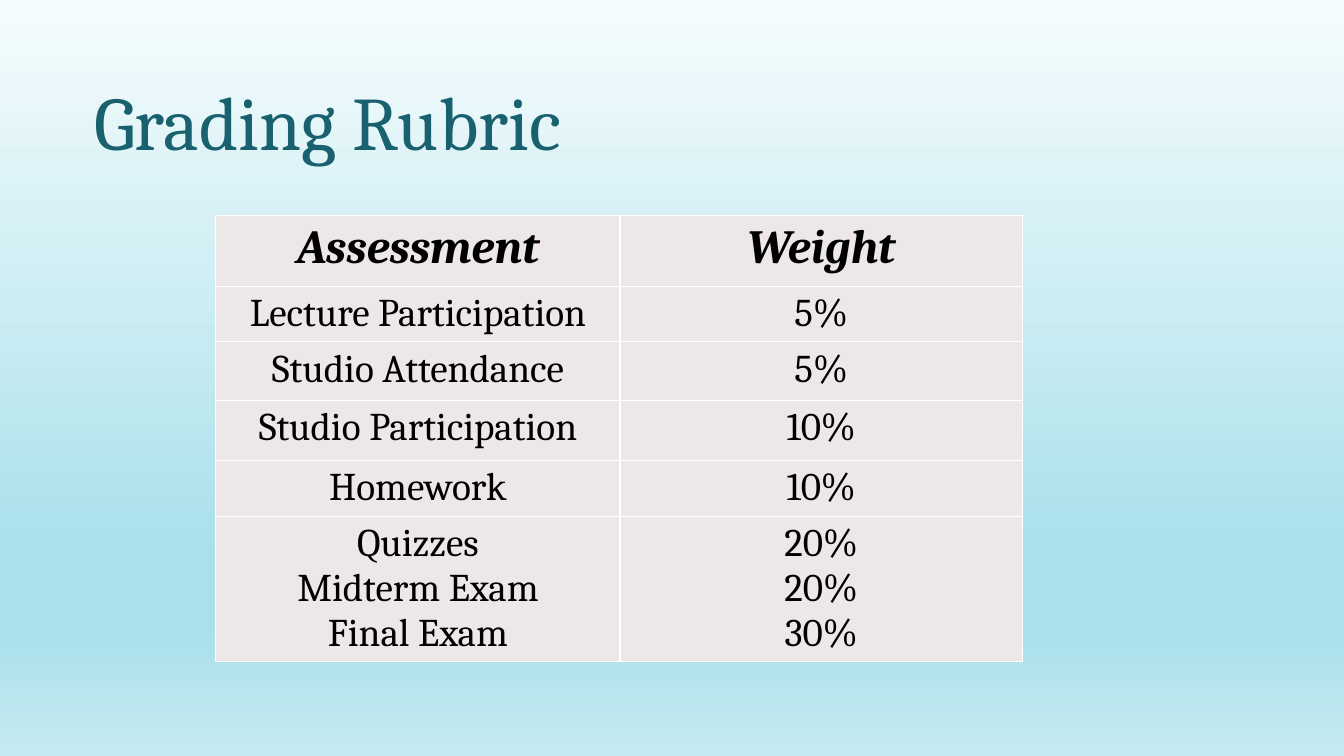
from lxml import etree
from pptx import Presentation
from pptx.dml.color import RGBColor
from pptx.enum.text import MSO_ANCHOR, MSO_AUTO_SIZE, PP_ALIGN
from pptx.oxml.ns import qn
from pptx.util import Inches, Pt

TITLE = "Grading Rubric"
RUBRIC = [
    ("Assessment", "Weight"),
    ("Lecture Participation", "5%"),
    ("Studio Attendance", "5%"),
    ("Studio Participation", "10%"),
    ("Homework", "10%"),
    ("Quizzes\nMidterm Exam\nFinal Exam", "20%\n20%\n30%"),
]
COLUMN_WIDTHS = [4.01, 3.99]
ROW_HEIGHTS = [0.7, 0.55, 0.58, 0.6, 0.55, 1.43]

FONT = "Cambria"
TEAL = RGBColor(0x1A, 0x61, 0x6F)
BLACK = RGBColor(0, 0, 0)
WHITE = RGBColor(0xFF, 0xFF, 0xFF)
CELL_FILL = RGBColor(0xED, 0xE8, 0xE7)
BACKGROUND_STOPS = [
    (0, RGBColor(0xF5, 0xFC, 0xFD)),
    (74, RGBColor(0xA9, 0xE0, 0xEB)),
    (83, RGBColor(0xA9, 0xE0, 0xEB)),
    (100, RGBColor(0xC6, 0xEA, 0xF1)),
]
CENTER = PP_ALIGN.CENTER
MIDDLE = MSO_ANCHOR.MIDDLE
NO_AUTOFIT = MSO_AUTO_SIZE.NONE


def set_background(slide):
    fill = slide.background.fill
    fill.gradient()
    fill.gradient_angle = 270
    stops = next(slide.element.iter(qn("a:gsLst")))
    for stop in list(stops):
        stops.remove(stop)
    for percent, color in BACKGROUND_STOPS:
        stop = etree.SubElement(stops, qn("a:gs"), pos=str(percent * 1000))
        etree.SubElement(stop, qn("a:srgbClr"), val=str(color))


def format_text(text_frame, size, color, emphasis=False):
    for paragraph in text_frame.paragraphs:
        paragraph.alignment = CENTER
        font = paragraph.font
        font.name = FONT
        font.size = Pt(size)
        font.color.rgb = color
        font.bold = font.italic = emphasis


def add_title(slide):
    title = slide.shapes.title
    title.left, title.top = Inches(-0.99), Inches(0.62)
    title.width, title.height = Inches(8.48), Inches(1.15)
    text_frame = title.text_frame
    text_frame.text = TITLE
    text_frame.auto_size = NO_AUTOFIT
    text_frame.vertical_anchor = MIDDLE
    format_text(text_frame, 54, TEAL)


def set_borders(cell):
    properties = cell._tc.get_or_add_tcPr()
    for index, side in enumerate(("lnL", "lnR", "lnT", "lnB")):
        line = etree.Element(qn(f"a:{side}"), w=str(Pt(0.96)))
        fill = etree.SubElement(line, qn("a:solidFill"))
        etree.SubElement(fill, qn("a:srgbClr"), val=str(WHITE))
        properties.insert(index, line)


def add_rubric(slide):
    table = slide.shapes.add_table(
        len(RUBRIC), len(COLUMN_WIDTHS), Inches(2.14), Inches(2.14),
        Inches(sum(COLUMN_WIDTHS)), Inches(sum(ROW_HEIGHTS))).table
    for column, width in zip(table.columns, COLUMN_WIDTHS):
        column.width = Inches(width)
    for row_index, texts in enumerate(RUBRIC):
        table.rows[row_index].height = Inches(ROW_HEIGHTS[row_index])
        is_header = row_index == 0
        for column_index, text in enumerate(texts):
            cell = table.cell(row_index, column_index)
            cell.text = text
            cell.margin_left = cell.margin_right = Inches(0.07)
            cell.margin_top = cell.margin_bottom = Inches(0.05)
            cell.fill.solid()
            cell.fill.fore_color.rgb = CELL_FILL
            set_borders(cell)
            format_text(cell.text_frame, 34 if is_header else 28, BLACK, is_header)


def main():
    presentation = Presentation()
    presentation.slide_width = Inches(13.33)
    presentation.slide_height = Inches(7.5)
    slide = presentation.slides.add_slide(presentation.slide_layouts[5])
    set_background(slide)
    add_rubric(slide)
    add_title(slide)
    presentation.save("out.pptx")


if __name__ == "__main__":
    main()
